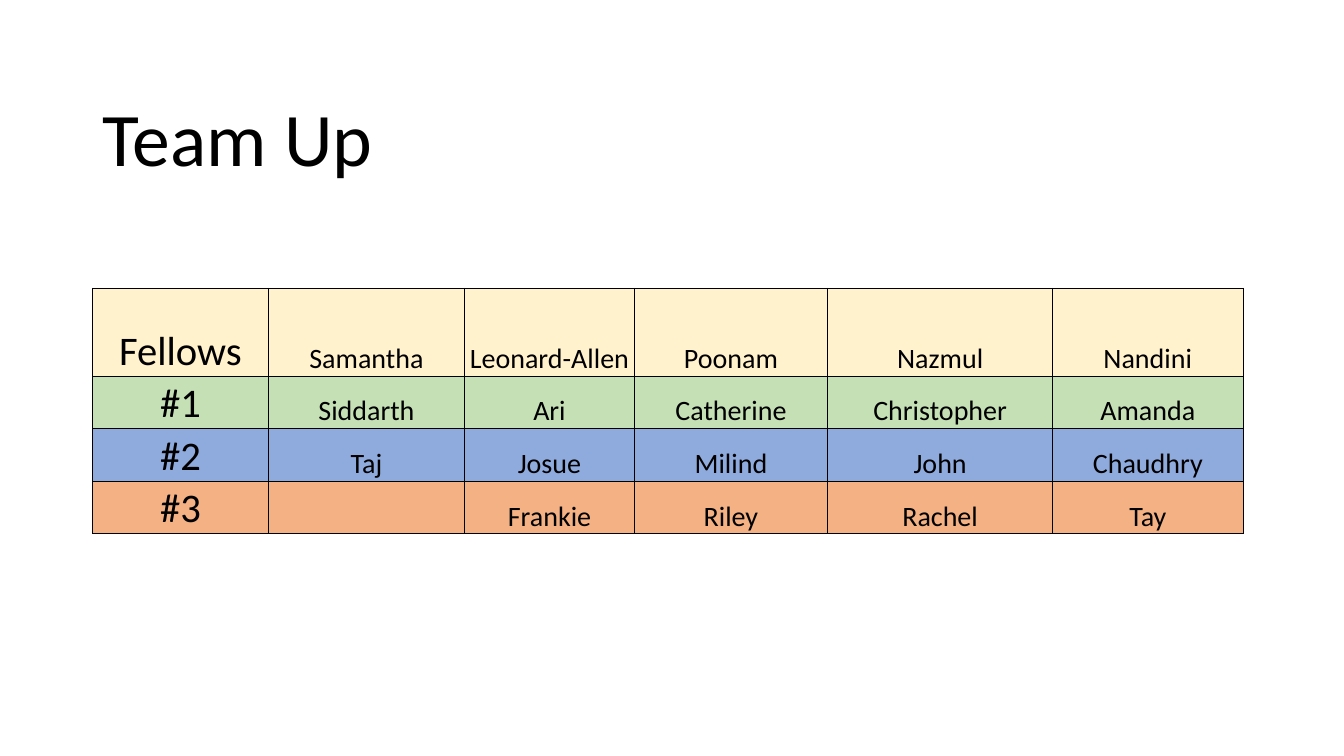
from pptx import Presentation
from pptx.dml.color import RGBColor
from pptx.enum.text import MSO_ANCHOR, PP_ALIGN
from pptx.oxml import parse_xml
from pptx.oxml.ns import nsdecls
from pptx.util import Inches, Pt

FONT = "Calibri"
INK = "000000"
LEFT = 0.92

# Table grid in inches
COLS = [1.74, 1.95, 1.68, 1.92, 2.23, 1.89]
ROWS = [0.87, 0.46, 0.46, 0.46]

# Each row: fill, then its cells
TEAMS = [
    ("FFF2CC", ["Fellows", "Samantha", "Leonard-Allen", "Poonam", "Nazmul", "Nandini"]),
    ("C5E0B4", ["#1", "Siddarth", "Ari", "Catherine", "Christopher", "Amanda"]),
    ("8FAADC", ["#2", "Taj", "Josue", "Milind", "John", "Chaudhry"]),
    ("F4B183", ["#3", "", "Frankie", "Riley", "Rachel", "Tay"]),
]


def color(code):
    return RGBColor.from_string(code)


def add_run(para, text, size):
    run = para.add_run()
    run.text = text
    run.font.name = FONT
    run.font.size = Pt(size)
    run.font.bold = False
    run.font.color.rgb = color(INK)


def add_title(slide, text):
    title = slide.shapes.title
    title.left, title.top = Inches(LEFT), Inches(0.84)
    title.width, title.height = Inches(11.5), Inches(1.02)
    frame = title.text_frame
    frame.vertical_anchor = MSO_ANCHOR.BOTTOM
    frame.word_wrap = True
    para = frame.paragraphs[0]
    para.alignment = PP_ALIGN.LEFT
    para.line_spacing = 0.9
    add_run(para, text, 54)


def add_border(cell):
    props = cell._tc.get_or_add_tcPr()
    for side in "LRTB":
        props.append(parse_xml(
            f'<a:ln{side} {nsdecls("a")} w="{Pt(0.5)}"><a:solidFill>'
            f'<a:srgbClr val="{INK}"/></a:solidFill></a:ln{side}>'))


def fill_cell(cell, text, size, fill):
    # Borders go before the fill in the cell properties
    add_border(cell)
    cell.fill.solid()
    cell.fill.fore_color.rgb = color(fill)
    cell.vertical_anchor = MSO_ANCHOR.BOTTOM
    cell.margin_left = cell.margin_right = cell.margin_top = Inches(0.03)
    cell.margin_bottom = 0
    para = cell.text_frame.paragraphs[0]
    para.alignment = PP_ALIGN.CENTER
    if text:
        add_run(para, text, size)


def add_teams(slide):
    frame = slide.shapes.add_table(
        len(ROWS), len(COLS), Inches(LEFT), Inches(2.86),
        Inches(sum(COLS)), Inches(sum(ROWS)))
    table = frame.table
    table.horz_banding = False
    table.first_row = False
    for col, width in zip(table.columns, COLS):
        col.width = Inches(width)
    for row, height, (fill, names) in zip(table.rows, ROWS, TEAMS):
        row.height = Inches(height)
        for index, (cell, name) in enumerate(zip(row.cells, names)):
            fill_cell(cell, name, 20 if index else 29, fill)


def main():
    deck = Presentation()
    deck.slide_width, deck.slide_height = Inches(13.33), Inches(7.5)
    slide = deck.slides.add_slide(deck.slide_layouts[5])
    slide.background.fill.solid()
    slide.background.fill.fore_color.rgb = color("FFFFFF")
    add_title(slide, "Team Up")
    add_teams(slide)
    deck.save("out.pptx")


if __name__ == "__main__":
    main()
